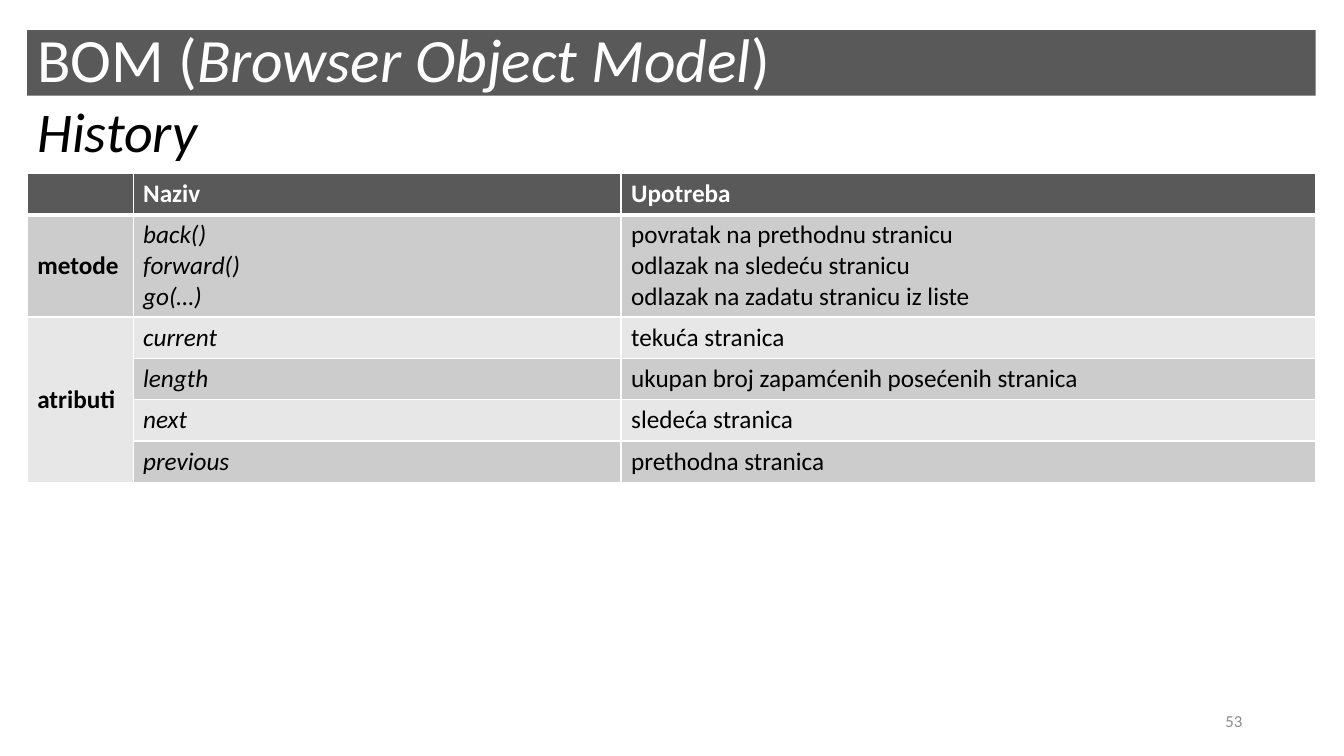
from lxml import etree
from pptx import Presentation
from pptx.dml.color import RGBColor
from pptx.enum.text import MSO_ANCHOR, MSO_AUTO_SIZE, PP_ALIGN
from pptx.oxml.ns import qn
from pptx.util import Inches, Pt

MIDDLE, TOP = MSO_ANCHOR.MIDDLE, MSO_ANCHOR.TOP
LEFT, RIGHT = PP_ALIGN.LEFT, PP_ALIGN.RIGHT
NO_AUTOFIT = MSO_AUTO_SIZE.NONE

FONT = "Calibri"
WHITE, BLACK, DARK, GRAY = "FFFFFF", "000000", "595959", "8C8C8C"
BANDS = ("CCCCCC", "E7E7E7")

MARGIN, CONTENT_WIDTH = 0.27, 12.78
COLUMN_WIDTHS = (1.05, 4.84, 6.89)
LINE_HEIGHT, CELL_PADDING = 0.3, 0.11

HEADER = ("", "Naziv", "Upotreba")
ROWS = (
    ("metode", "back()\nforward()\ngo(…)",
     "povratak na prethodnu stranicu\nodlazak na sledeću stranicu\n"
     "odlazak na zadatu stranicu iz liste"),
    ("atributi", "current", "tekuća stranica"),
    ("", "length", "ukupan broj zapamćenih posećenih stranica"),
    ("", "next", "sledeća stranica"),
    ("", "previous", "prethodna stranica"),
)


def rgb(value):
    return RGBColor.from_string(value)


def format_font(font, size, color, bold=False, italic=False):
    font.name, font.size = FONT, Pt(size)
    font.bold, font.italic = bold, italic
    font.color.rgb = rgb(color)


def place(shape, box):
    shape.left, shape.top, shape.width, shape.height = map(Inches, box)


def set_heading(heading, box, parts, size, color):
    """Left-aligned one-line heading made of (text, italic) parts."""
    place(heading, box)
    frame = heading.text_frame
    frame.auto_size, frame.word_wrap = NO_AUTOFIT, True
    frame.vertical_anchor = MIDDLE
    paragraph = frame.paragraphs[0]
    properties = paragraph._p.get_or_add_pPr()
    properties.set("marL", "0")
    properties.set("indent", "0")
    etree.SubElement(properties, qn("a:buNone"))
    paragraph.alignment, paragraph.line_spacing = LEFT, 0.9
    paragraph.space_before = Pt(0)
    for text, italic in parts:
        run = paragraph.add_run()
        run.text = text
        format_font(run.font, size, color, italic=italic)


def set_borders(cell, bottom_width):
    properties = cell._tc.get_or_add_tcPr()
    for side, width in (("L", 1), ("R", 1), ("T", 1), ("B", bottom_width)):
        line = etree.SubElement(properties, qn(f"a:ln{side}"), w=str(Pt(width)))
        fill = etree.SubElement(line, qn("a:solidFill"))
        etree.SubElement(fill, qn("a:srgbClr"), val=WHITE)


def set_cell(cell, text, fill, color, bold, italic, anchor, bottom_width):
    set_borders(cell, bottom_width)
    cell.fill.solid()
    cell.fill.fore_color.rgb = rgb(fill)
    cell.vertical_anchor = anchor
    cell.text_frame.text = text
    for paragraph in cell.text_frame.paragraphs:
        format_font(paragraph.font, 18, color, bold, italic)
        for run in paragraph.runs:
            format_font(run.font, 18, color, bold, italic)


def add_history_table(slide, left, top):
    heights = [LINE_HEIGHT * (row[1].count("\n") + 1) + CELL_PADDING
               for row in (HEADER, *ROWS)]
    box = map(Inches, (left, top, sum(COLUMN_WIDTHS), sum(heights)))
    table = slide.shapes.add_table(len(heights), len(HEADER), *box).table
    for column, width in zip(table.columns, COLUMN_WIDTHS):
        column.width = Inches(width)
    for row, height in zip(table.rows, heights):
        row.height = Inches(height)

    # Header row
    for c, label in enumerate(HEADER):
        set_cell(table.cell(0, c), label, DARK, WHITE, True, False, TOP, 3)

    # Banded rows: bold group, italic name, plain use
    for r, row in enumerate(ROWS, start=1):
        for c, text in enumerate(row):
            set_cell(table.cell(r, c), text, BANDS[(r - 1) % 2], BLACK,
                     c == 0, c == 1, MIDDLE if c == 0 else TOP, 1)
    table.cell(2, 0).merge(table.cell(len(ROWS), 0))


def add_page_number(slide, box, number):
    page_number = slide.shapes.add_textbox(*map(Inches, box))
    frame = page_number.text_frame
    frame.word_wrap, frame.vertical_anchor = True, MIDDLE
    frame.text = number
    frame.paragraphs[0].alignment = RIGHT
    format_font(frame.paragraphs[0].runs[0].font, 12, GRAY)


def build_history_slide(presentation):
    slide = presentation.slides.add_slide(presentation.slide_layouts[1])

    # Title bar and subtitle
    title, subtitle = slide.placeholders
    title.fill.solid()
    title.fill.fore_color.rgb = rgb(DARK)
    set_heading(title, (MARGIN, 0.3, CONTENT_WIDTH, 0.65),
                (("BOM (", False), ("Browser Object Model", True), (")", False)),
                44, WHITE)
    set_heading(subtitle, (MARGIN, 1.05, CONTENT_WIDTH, 0.57),
                (("History", True),), 40, BLACK)

    # Methods and attributes
    add_history_table(slide, MARGIN, 1.72)

    # Footer
    add_page_number(slide, (9.42, 6.95, 3, 0.4), "53")


def main():
    presentation = Presentation()
    presentation.slide_width = Inches(13.33)
    presentation.slide_height = Inches(7.5)
    build_history_slide(presentation)
    presentation.save("out.pptx")


if __name__ == "__main__":
    main()
